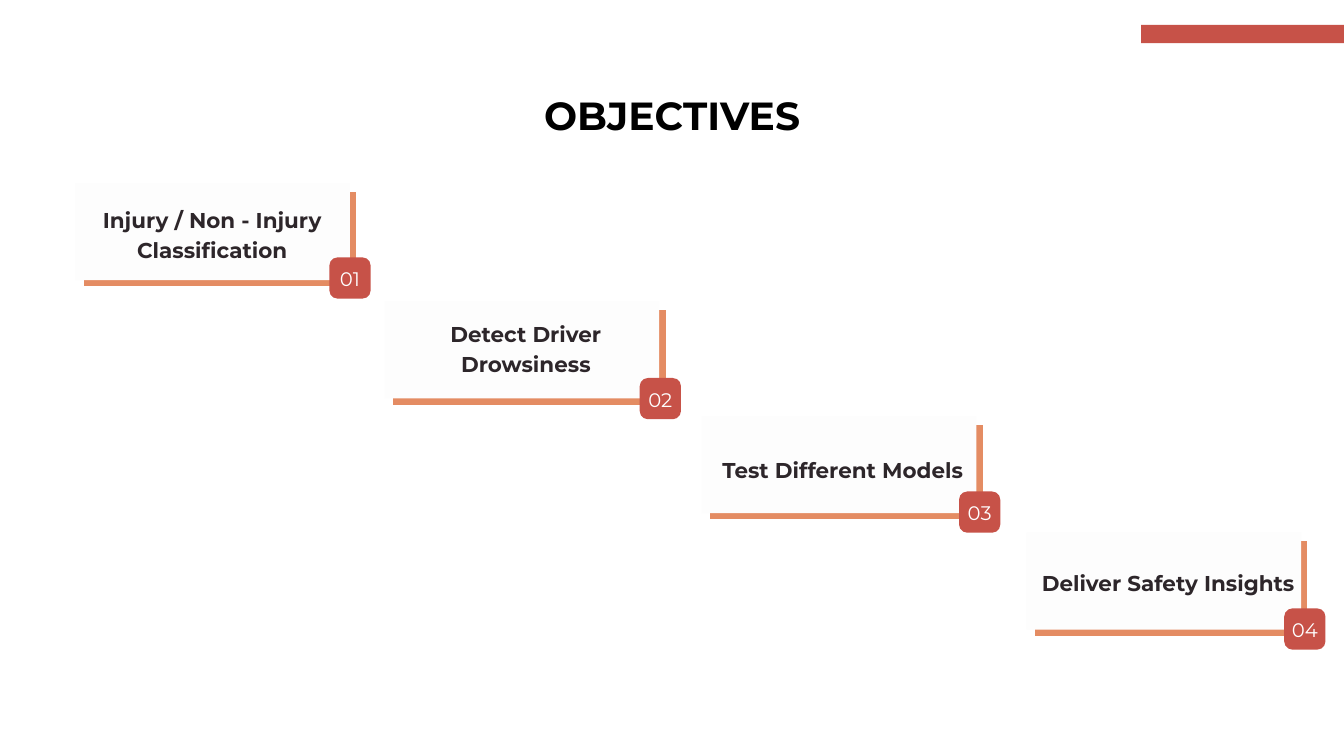
"""Build the Objectives slide: four numbered cards descending in steps."""
from dataclasses import dataclass

from pptx import Presentation
from pptx.dml.color import RGBColor
from pptx.enum.shapes import MSO_SHAPE as Preset
from pptx.enum.text import MSO_ANCHOR as Anchor, PP_ALIGN as Align
from pptx.util import Cm, Pt

TITLE = "OBJECTIVES"
OBJECTIVES = [
    {"text": "Injury / Non - Injury Classification", "card": (2.85, 6.92),
     "label": (3.25, 7.65, 9.55, 2.18), "badge": (12.45, 9.73)},
    {"text": "Detect Driver Drowsiness", "card": (14.54, 11.39),
     "label": (15.04, 11.99, 9.68, 2.18), "badge": (24.18, 14.29)},
    {"text": "Test Different Models", "card": (26.53, 15.73),
     "label": (26.92, 17.12, 9.88, 1.09), "badge": (36.25, 18.58)},
    {"text": "Deliver Safety Insights", "card": (38.8, 20.13),
     "label": (39.22, 21.39, 9.88, 1.09), "badge": (48.54, 23)},
]
CARD_SIZE = (10.38, 3.67)
EDGE_OFFSET = 0.28
BADGE_SIZE = 1.56


@dataclass(frozen=True)
class Theme:
    font: str = "Montserrat"
    red: str = "C75248"
    orange: str = "E48C63"
    card: str = "FDFDFD"
    white: str = "FFFFFF"
    ink: str = "2D262A"
    black: str = "000000"
    title_size: float = 42
    title_spacing: float = 39.5
    label_size: float = 23
    label_spacing: float = 32.2
    badge_size: float = 21
    badge_spacing: float = 29.4
    edge_width: float = 2.4


THEME = Theme()


def add_block(slide, box, color, preset=Preset.RECTANGLE):
    shape = slide.shapes.add_shape(preset, *map(Cm, box))
    shape.shadow.inherit = False
    shape.fill.solid()
    shape.fill.fore_color.rgb = RGBColor.from_string(color)
    shape.line.fill.background()
    return shape


def write(shape, text, size, spacing, color, bold=False,
          anchor=Anchor.TOP, insets=(0, 0, 0, 0)):
    frame = shape.text_frame
    frame.word_wrap = True
    frame.vertical_anchor = anchor
    (frame.margin_left, frame.margin_top,
     frame.margin_right, frame.margin_bottom) = map(Cm, insets)
    paragraph = frame.paragraphs[0]
    paragraph.text = text
    paragraph.alignment = Align.CENTER
    paragraph.line_spacing = Pt(spacing)
    font = paragraph.font
    font.name, font.size, font.bold = THEME.font, Pt(size), bold
    font.color.rgb = RGBColor.from_string(color)


def add_objective(slide, number, objective):
    left, top = objective["card"]
    edge = add_block(slide, (left + EDGE_OFFSET, top + EDGE_OFFSET, *CARD_SIZE), THEME.orange)
    edge.line.color.rgb = RGBColor.from_string(THEME.white)
    edge.line.width = Pt(THEME.edge_width)
    add_block(slide, (left, top, *CARD_SIZE), THEME.card)

    label = slide.shapes.add_textbox(*map(Cm, objective["label"]))
    write(label, objective["text"], THEME.label_size, THEME.label_spacing, THEME.ink, bold=True)

    badge = add_block(slide, (*objective["badge"], BADGE_SIZE, BADGE_SIZE),
                      THEME.red, Preset.ROUNDED_RECTANGLE)
    badge.adjustments[0] = 0.2
    write(badge, f"{number:02}", THEME.badge_size, THEME.badge_spacing, THEME.white,
          anchor=Anchor.MIDDLE, insets=(0, 0.08, 0, 0.15))


def main():
    presentation = Presentation()
    presentation.slide_width, presentation.slide_height = Cm(50.8), Cm(28.58)
    slide = presentation.slides.add_slide(presentation.slide_layouts[5])

    title = slide.shapes.title
    title.left, title.top, title.width, title.height = map(Cm, (17.17, 3.84, 16.46, 1.47))
    write(title, TITLE, THEME.title_size, THEME.title_spacing, THEME.black, bold=True)

    add_block(slide, (43.13, 0.94, 7.67, 0.69), THEME.red)
    for number, objective in enumerate(OBJECTIVES, 1):
        add_objective(slide, number, objective)
    presentation.save("out.pptx")


if __name__ == "__main__":
    main()
